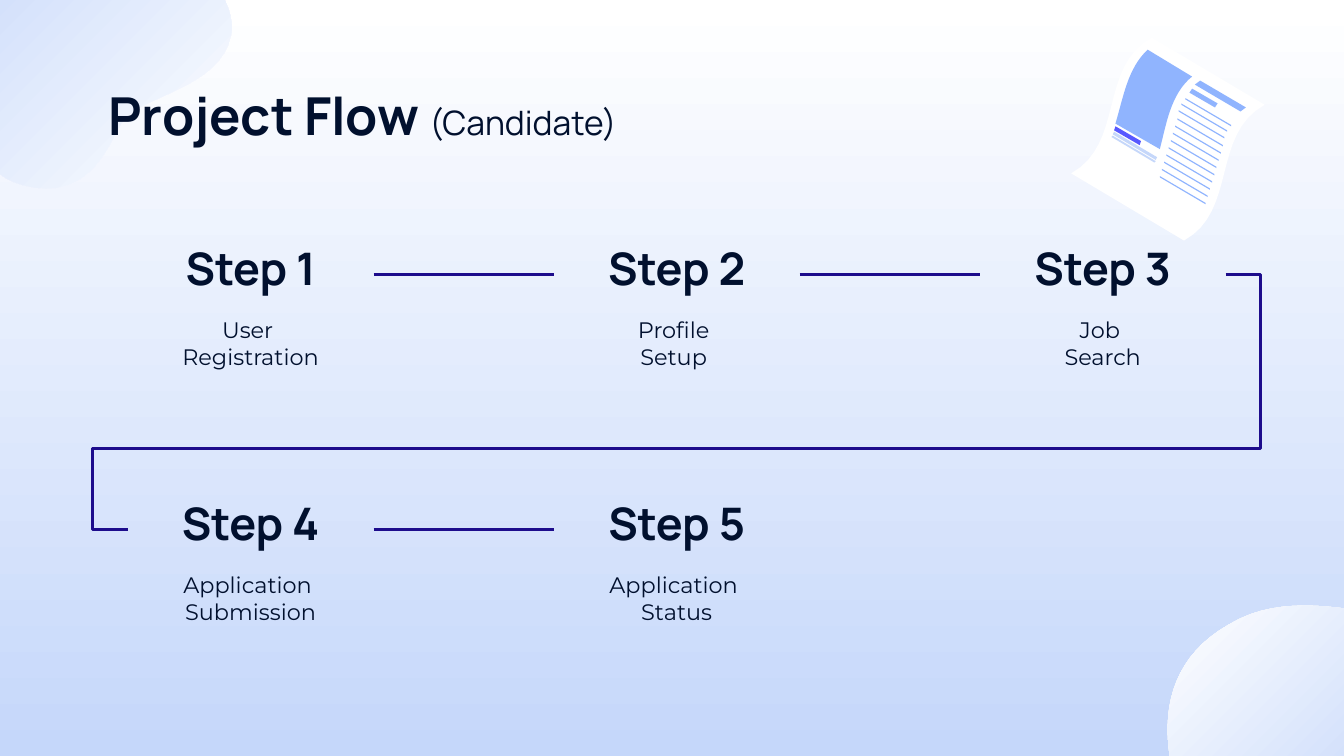
from lxml import etree
from pptx import Presentation
from pptx.dml.color import RGBColor
from pptx.enum import shapes, text
from pptx.oxml import ns
from pptx.util import Inches, Pt

HUES = {"ink": "01102E", "line": "1D0C8C", "white": "FFFFFF", "pale": "C5D7FA",
        "sky": "90B4FE", "violet": "5758FF"}
TITLE = [("Project Flow ", 28, True), ("(Candidate)", 18, False)]
STEPS = [("Step 1", ["User ", "Registration"]), ("Step 2", ["Profile ", "Setup "]),
         ("Step 3", ["Job ", "Search"]), ("Step 4", ["Application ", "Submission"]),
         ("Step 5", ["Application ", "Status"])]
COLS, LEFT, PITCH, WIDE = 3, 0.95, 3.17, 1.83
TOP, DROP = 2.04, 1.9

# Outlines: a start point, then lines (2 numbers) or curves (6 numbers)
BLOBS = [
    (45, [(9.14, 4.65), (8.75, 4.87, 8.65, 5.23, 8.7, 5.6), (8.71, 5.68, 8.72, 5.75, 8.73, 5.82),
          (10.62, 5.82), (10.62, 4.62), (10.57, 4.61, 10.53, 4.61, 10.48, 4.6),
          (10.03, 4.54, 9.55, 4.4, 9.14, 4.65)]),
    (225, [(-0.71, 0.15), (-0.75, 0.46, -0.52, 0.45, -0.34, 0.65),
           (-0.19, 0.82, -0.24, 1.27, 0.18, 1.38), (0.64, 1.5, 0.79, 1.13, 0.9, 0.92),
           (1.02, 0.71, 1.64, 0.67, 1.72, 0.26), (1.75, 0.08, 1.63, -0.15, 1.37, -0.32),
           (-0.36, -0.32), (-0.57, -0.16, -0.69, 0.03, -0.71, 0.15)]),
]
SHEET = [
    ("white", [(8.57, 0.28), (8.17, 0.5, 8.37, 1.07, 7.97, 1.29), (8.81, 1.79),
               (9.21, 1.57, 9.01, 1, 9.41, 0.78), (8.57, 0.28)]),
    ("sky", [(8.54, 0.37), (8.39, 0.51, 8.36, 0.72, 8.3, 0.92), (8.63, 1.11),
             (8.68, 0.92, 8.71, 0.7, 8.87, 0.57), (8.54, 0.37)]),
]
# Slanted bars: hue, corner, run along, run across
BARS = [("sky", (8.93, 0.6), (0.34, 0.2), (-0.04, 0.03)),
        ("sky", (8.87, 0.66), (0.19, 0.11), (-0.02, 0.03)),
        ("violet", (8.3, 0.94), (0.19, 0.11), (-0.01, 0.03)),
        ("pale", (8.29, 0.98), (0.32, 0.19), (-0.01, 0.02)),
        ("pale", (8.28, 1.01), (0.32, 0.19), (-0.01, 0.01))]
ROWS = [(8.82, 0.73), (8.79, 0.77), (8.77, 0.82)]
ROWS += [(8.76 - 0.13 * i / 8, 0.88 + 0.43 * i / 8) for i in range(9)]
BARS += [("sky", spot, (0.34, 0.2), (0, 0.01)) for spot in ROWS]


def rgb(name):
    """Return the colour of that name."""
    return RGBColor.from_string(HUES[name])


def shade(fill, angle):
    """Fill from white to pale, with the angle clockwise."""
    fill.gradient()
    fill.gradient_angle = (360 - angle) % 360
    for stop, name in zip(fill.gradient_stops, ("white", "pale")):
        stop.color.rgb = rgb(name)


def trace(outline, count=16):
    """Turn lines and curves into a list of points."""
    points = [outline[0]]
    for part in outline[1:]:
        if len(part) == 2:
            points.append(part)
            continue
        knots = [points[-1], part[:2], part[2:4], part[4:]]
        for i in range(1, count + 1):
            t = i / count
            mix = ((1 - t) ** 3, 3 * t * (1 - t) ** 2, 3 * t * t * (1 - t), t ** 3)
            points.append(tuple(sum(m * k[a] for m, k in zip(mix, knots)) for a in (0, 1)))
    return points


def draw(home, outline):
    """Add a closed outline without a line or shadow."""
    points = [(Inches(x), Inches(y)) for x, y in trace(outline)]
    pen = home.build_freeform(*points[0], scale=1.0)
    pen.add_line_segments(points[1:], close=True)
    shape = pen.convert_to_shape()
    shape.shadow.inherit = False
    shape.line.fill.background()
    return shape


def write(box, paras, font, align, anchor=text.MSO_ANCHOR.TOP):
    """Add a text box; each paragraph is a list of (words, size, bold)."""
    frame = slide.shapes.add_textbox(*map(Inches, box)).text_frame
    frame.word_wrap = True
    frame.vertical_anchor = anchor
    frame.margin_left = frame.margin_right = Inches(0.1)
    frame.margin_top = frame.margin_bottom = Inches(0.1)
    for i, runs in enumerate(paras):
        para = frame.add_paragraph() if i else frame.paragraphs[0]
        para.alignment = align
        for words, size, bold in runs:
            run = para.add_run()
            run.text = words
            run.font.name, run.font.size, run.font.bold = font, Pt(size), bold
            run.font.color.rgb = rgb("ink")


def link(start, end, bends=None):
    """Join two points by a line, or by an elbow with the given bends."""
    kind = shapes.MSO_CONNECTOR.ELBOW if bends else shapes.MSO_CONNECTOR.STRAIGHT
    line = slide.shapes.add_connector(kind, *map(Inches, start + end))
    line.line.color.rgb = rgb("line")
    line.line.width = Pt(1.5)
    props = line._element.spPr
    etree.SubElement(props, ns.qn("a:effectLst"))
    if bends:
        geom = props.find(ns.qn("a:prstGeom"))
        geom.set("prst", "bentConnector5")
        guides = geom.find(ns.qn("a:avLst"))
        for i, bend in enumerate(bends, 1):
            etree.SubElement(guides, ns.qn("a:gd"), name=f"adj{i}",
                             fmla=f"val {round(bend * 100000)}")


deck = Presentation()
deck.slide_width = Inches(10)
deck.slide_height = deck.slide_width * 9 // 16
slide = deck.slides.add_slide(deck.slide_layouts[6])
shade(slide.background.fill, 90)

for angle, outline in BLOBS:
    shade(draw(slide.shapes, outline).fill, angle)

mid = text.PP_ALIGN.CENTER
spots = [(LEFT + PITCH * (i % COLS), TOP + DROP * (i // COLS)) for i in range(len(STEPS))]
for (x, y), (name, lines) in zip(spots, STEPS):
    write((x, y + 0.21, WIDE, 0.68), [[(words, 12, False)] for words in lines], "Montserrat", mid)
    write((x, y - 0.26, WIDE, 0.51), [[(name, 24, True)]], "Manrope", mid,
          text.MSO_ANCHOR.BOTTOM)
for (x, y), (far, low) in zip(spots, spots[1:]):
    link((x + WIDE, y), (far, low), None if y == low else (-0.032, 0.682, 1.032))

write((0.71, 0.52, 5.93, 0.63), [TITLE], "Manrope", text.PP_ALIGN.LEFT)

page = slide.shapes.add_group_shape().shapes
for hue, (x, y), (dx, dy), (ax, ay) in BARS:
    SHEET.append((hue, [(x, y), (x + dx, y + dy), (x + dx + ax, y + dy + ay), (x + ax, y + ay)]))
for hue, outline in SHEET:
    fill = draw(page, outline).fill
    fill.solid()
    fill.fore_color.rgb = rgb(hue)

deck.save("out.pptx")
